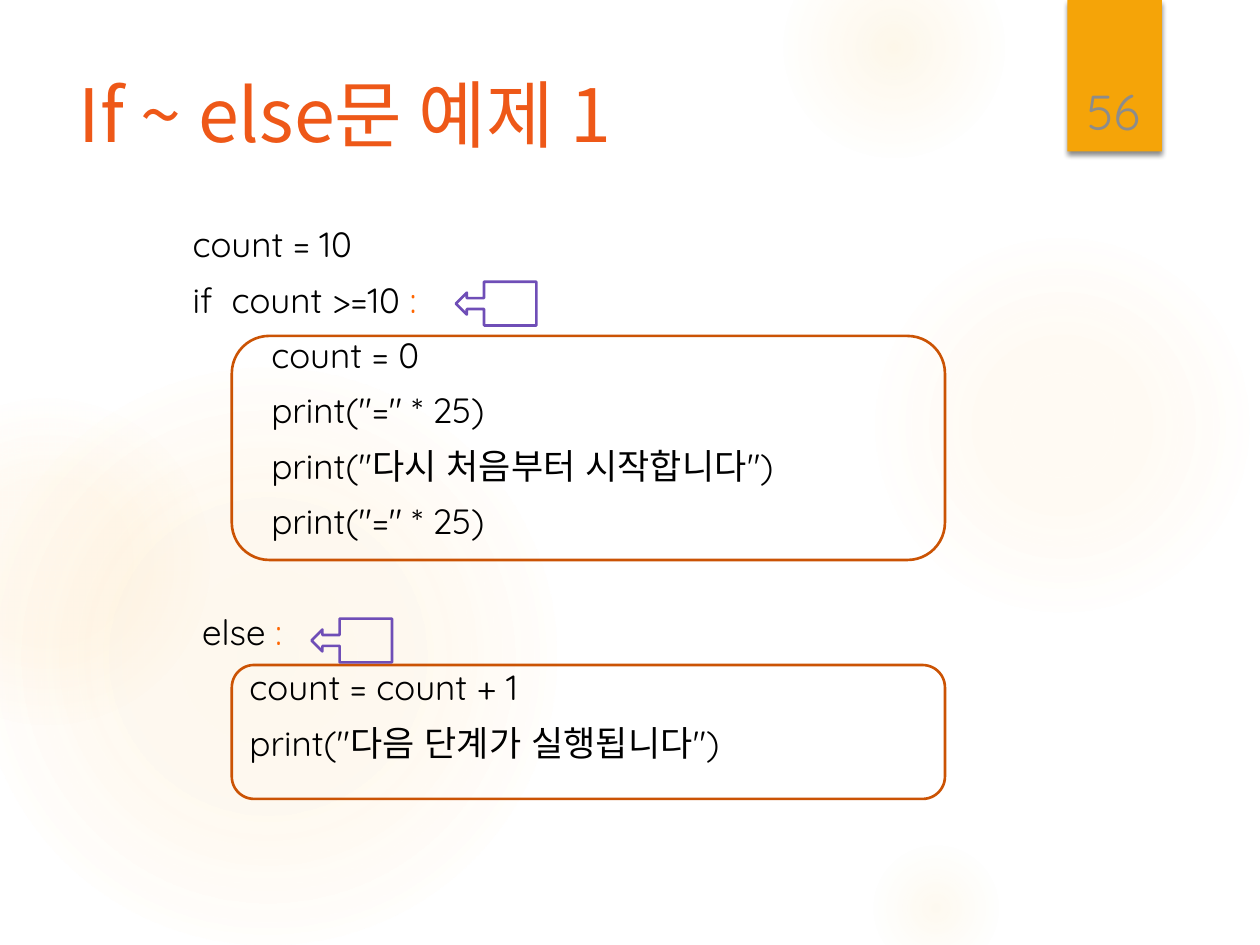
from lxml.etree import SubElement
from pptx import Presentation
from pptx.dml.color import RGBColor as RGB
from pptx.enum.shapes import MSO_SHAPE as Form
from pptx.enum.text import MSO_ANCHOR as Anchor, PP_ALIGN as Align
from pptx.oxml import parse_xml
from pptx.oxml.ns import nsdecls, qn
from pptx.util import Pt

AMBER = RGB(0xF5, 0xA4, 0x08)
GLOW = RGB(0xFA, 0xC9, 0x6A)
TITLE = RGB(0xEE, 0x58, 0x18)
COLON = RGB(0xFF, 0x66, 0x00)
RUST = RGB(0xCB, 0x53, 0x04)
PURPLE = RGB(0x6F, 0x4E, 0xB7)
GRAY = RGB(0x8C, 0x8C, 0x8C)
BLACK = RGB(0, 0, 0)
SANS = "Noto Sans CJK KR"
ROUND = "Quicksand"


def write(para, text, size=20, face=ROUND, color=BLACK):
    run = para.add_run()
    run.text = text
    run.font.size = Pt(size)
    run.font.name = face
    run.font.color.rgb = color
    SubElement(run.font._element, qn("a:ea")).set("typeface", face)


class Page:
    """Draw the parts of one slide in a shared style."""

    def __init__(self, deck):
        self.slide = deck.slides.add_slide(deck.slide_layouts[6])

    def shape(self, form, left, top, width, height, fill=None, line=None):
        item = self.slide.shapes.add_shape(
            form, Pt(left), Pt(top), Pt(width), Pt(height))
        item.shadow.inherit = False
        if fill is None:
            item.fill.background()
        else:
            item.fill.solid()
            item.fill.fore_color.rgb = fill
        if line is None:
            item.line.fill.background()
        else:
            item.line.color.rgb = line
            item.line.width = Pt(1.5)
        return item

    def glow(self, left, top, size, stops):
        item = self.shape(Form.OVAL, left, top, size, size)
        marks = "".join(
            f'<a:gs pos="{pos * 1000}"><a:srgbClr val="{GLOW}">'
            f'<a:alpha val="{alpha * 1000}"/></a:srgbClr></a:gs>'
            for pos, alpha in stops)
        grad = parse_xml(
            f'<a:gradFill {nsdecls("a")} rotWithShape="1"><a:gsLst>{marks}</a:gsLst>'
            '<a:path path="circle"><a:fillToRect l="50000" t="50000" '
            'r="50000" b="50000"/></a:path></a:gradFill>')
        props = item._element.spPr
        props.replace(props.find(qn("a:noFill")), grad)

    def flag(self, left, top, width, height):
        item = self.shape(Form.RECTANGLE, left, top, width, height, fill=AMBER)
        effects = item._element.spPr.find(qn("a:effectLst"))
        effects.append(parse_xml(
            f'<a:outerShdw {nsdecls("a")} blurRad="{Pt(3)}" dist="{Pt(2)}" '
            'dir="5400000" rotWithShape="0"><a:srgbClr val="000000">'
            '<a:alpha val="45000"/></a:srgbClr></a:outerShdw>'))

    def box(self, left, top, width, height, anchor=Anchor.TOP):
        frame = self.slide.shapes.add_textbox(
            Pt(left), Pt(top), Pt(width), Pt(height)).text_frame
        frame.word_wrap = True
        frame.vertical_anchor = anchor
        return frame

    def label(self, text, *place, align=Align.LEFT, anchor=Anchor.TOP, **style):
        para = self.box(*place, anchor=anchor).paragraphs[0]
        para.alignment = align
        write(para, text, **style)

    def code(self, lines, *place):
        frame = self.box(*place)
        for row, (indent, space, text, tail) in enumerate(lines):
            para = frame.add_paragraph() if row else frame.paragraphs[0]
            para._p.get_or_add_pPr().set("marL", str(Pt(indent)))
            para.line_spacing = 0.9
            para.space_before = Pt(space)
            write(para, text)
            if tail:
                write(para, tail, color=COLON)


def main():
    deck = Presentation()
    deck.slide_width, deck.slide_height = Pt(720), Pt(540)
    page = Page(deck)

    for left, top, size, stops in (
        (496, 132, 222, ((0, 7), (36, 6), (69, 0))),
        (448, -36, 126, ((0, 14), (36, 7), (73, 0))),
        (496, 480, 78, ((0, 10), (31, 5), (66, 0))),
        (-12, 210, 330, ((0, 11), (36, 10), (75, 0))),
        (-66, 228, 186, ((0, 8), (36, 8), (72, 0))),
    ):
        page.glow(left, top, size, stops)
    page.flag(610, 0, 54, 86.5)

    page.label("If ~ else문 예제 1", 38, 36, 556, 110,
               size=42, face=SANS, color=TITLE)
    page.code((
        (55, 0, "count = 10", ""),
        (55, 10, "if  count >=10 ", ":"),
        (100, 10, "count = 0", ""),
        (100, 10, 'print("=" * 25)', ""),
        (100, 10, 'print("다시 처음부터 시작합니다")', ""),
        (100, 10, 'print("=" * 25)', ""),
        (60.5, 42, "else ", ":"),
        (87.5, 10, "count = count + 1", ""),
        (87.5, 10, 'print("다음 단계가 실행됩니다")', ""),
    ), 48, 126.5, 642, 354)

    for top, height in ((192, 128), (380, 76.5)):
        page.shape(Form.ROUNDED_RECTANGLE, 132.5, top, 407.5, height, line=RUST)
    for left, top in ((260.5, 161), (178, 353.5)):
        page.shape(Form.LEFT_ARROW_CALLOUT, left, top, 46, 25, line=PURPLE)

    page.label("56", 611.5, 23, 49.5, 60.5, align=Align.CENTER,
               anchor=Anchor.BOTTOM, size=28, color=GRAY)
    deck.save("out.pptx")


if __name__ == "__main__":
    main()
